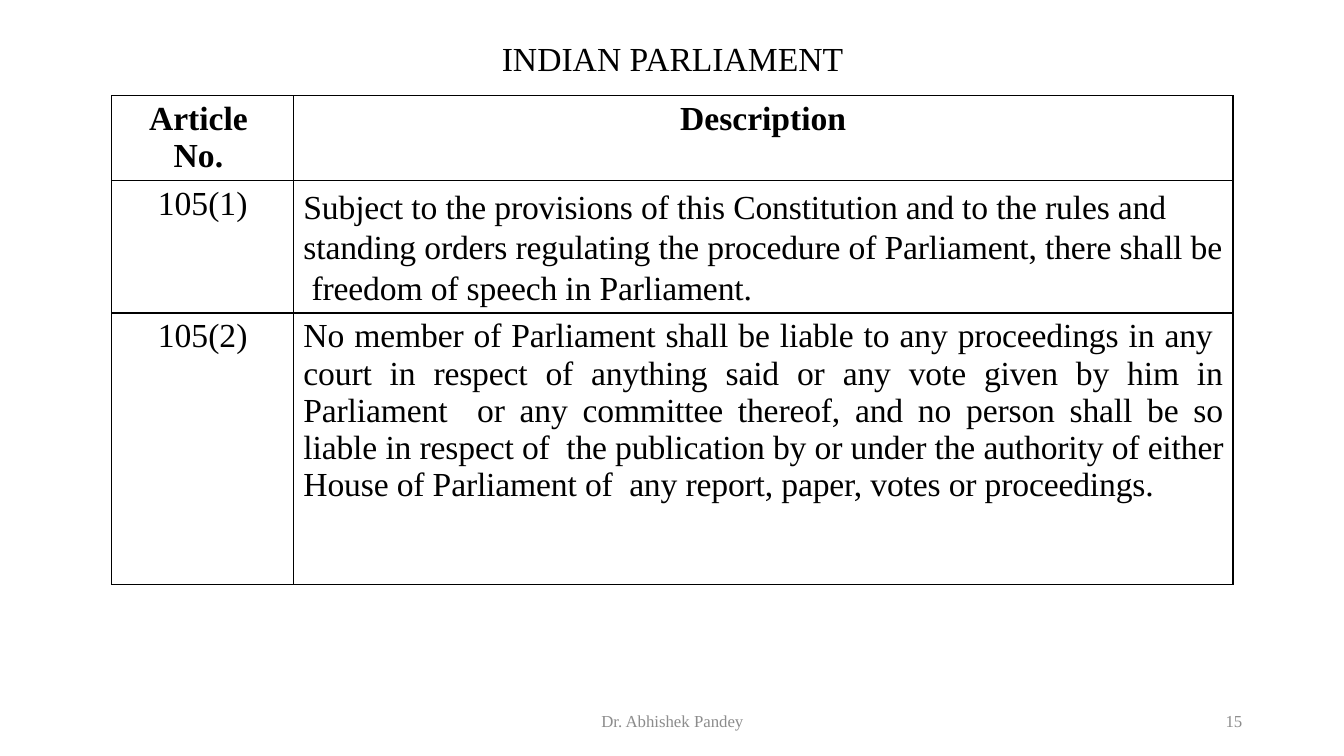
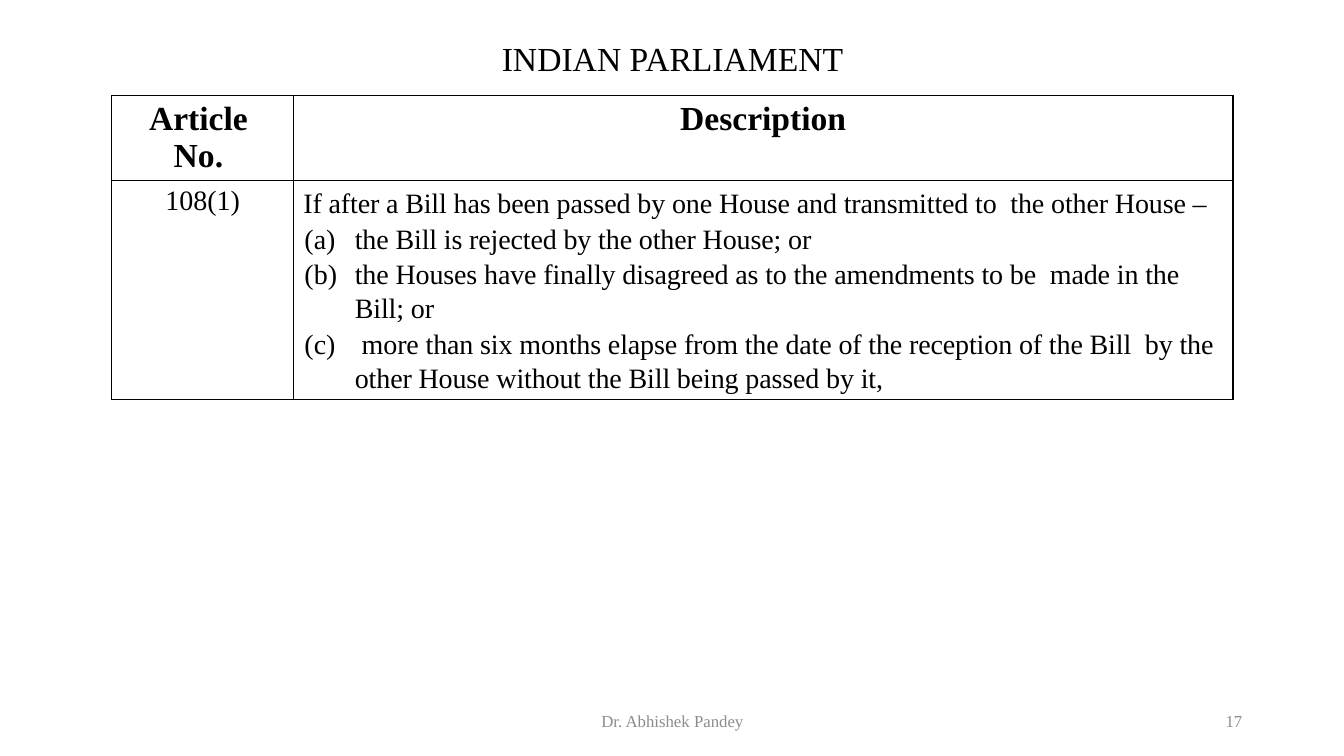
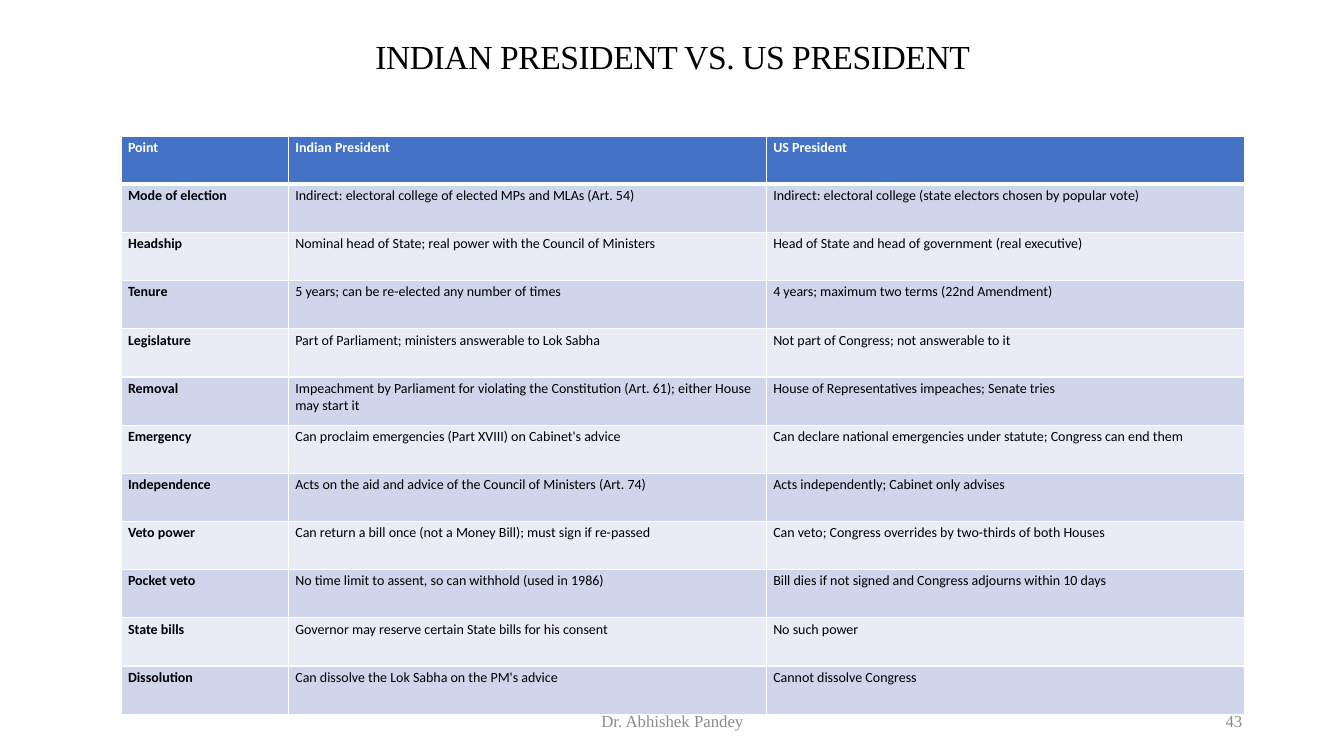
from lxml import etree
from pptx import Presentation
from pptx.dml.color import RGBColor
from pptx.enum import text as t
from pptx.oxml import ns
from pptx.util import Inches, Pt

# Shared look
BLACK = RGBColor(0, 0, 0)
WHITE = RGBColor(255, 255, 255)
GREY = RGBColor(0x8C, 0x8C, 0x8C)
BLUE = RGBColor(0x44, 0x72, 0xC4)
BANDS = [RGBColor(0xE9, 0xEB, 0xF5), RGBColor(0xCF, 0xD5, 0xEA)]
SERIF, SANS = "Times New Roman", "Calibri"
LEFT, MID, RIGHT, JUST = (t.PP_ALIGN.LEFT, t.PP_ALIGN.CENTER,
                          t.PP_ALIGN.RIGHT, t.PP_ALIGN.JUSTIFY)

# Text formats
BASE = {"name": SERIF, "size": Pt(24), "bold": False, "color": BLACK}
HEAD = {**BASE, "bold": True}
BODY = {**BASE, "size": Pt(20)}
FOOT = {**BASE, "size": Pt(12), "color": GREY}
CELL = {**BASE, "name": SANS, "size": Pt(10)}
KEY = {**CELL, "bold": True}
TOP = {**KEY, "color": WHITE}

RIGHTS = [
    ("105(1)", "Subject to the provisions of this Constitution and to the rules "
     "and  standing orders regulating the procedure of Parliament, there shall "
     "be  freedom of speech in Parliament.", {"space": 1.1}),
    ("105(2)", "No member of Parliament shall be liable to any proceedings in "
     "any  court in respect of anything said or any vote given by him in "
     "Parliament  or any committee thereof, and no person shall be so liable in "
     "respect of  the publication by or under the authority of either House of "
     "Parliament of  any report, paper, votes or proceedings.",
     {"align": JUST}),
]
JOINT = [
    "If after a Bill has been passed by one House and transmitted to  the other "
    "House –",
    "the Bill is rejected by the other House; or",
    "the Houses have finally disagreed as to the amendments to be  made in the "
    "Bill; or",
    " more than six months elapse from the date of the reception of the Bill  by "
    "the other House without the Bill being passed by it,",
]
POINTS = [
    ("Point", "Indian President", "US President"),
    ("Mode of election",
     "Indirect: electoral college of elected MPs and MLAs (Art. 54)",
     "Indirect: electoral college (state electors chosen by popular vote)"),
    ("Headship",
     "Nominal head of State; real power with the Council of Ministers",
     "Head of State and head of government (real executive)"),
    ("Tenure", "5 years; can be re-elected any number of times",
     "4 years; maximum two terms (22nd Amendment)"),
    ("Legislature", "Part of Parliament; ministers answerable to Lok Sabha",
     "Not part of Congress; not answerable to it"),
    ("Removal",
     "Impeachment by Parliament for violating the Constitution (Art. 61); "
     "either House may start it",
     "House of Representatives impeaches; Senate tries"),
    ("Emergency", "Can proclaim emergencies (Part XVIII) on Cabinet's advice",
     "Can declare national emergencies under statute; Congress can end them"),
    ("Independence",
     "Acts on the aid and advice of the Council of Ministers (Art. 74)",
     "Acts independently; Cabinet only advises"),
    ("Veto power",
     "Can return a bill once (not a Money Bill); must sign if re-passed",
     "Can veto; Congress overrides by two-thirds of both Houses"),
    ("Pocket veto", "No time limit to assent, so can withhold (used in 1986)",
     "Bill dies if not signed and Congress adjourns within 10 days"),
    ("State bills", "Governor may reserve certain State bills for his consent",
     "No such power"),
    ("Dissolution", "Can dissolve the Lok Sabha on the PM's advice",
     "Cannot dissolve Congress"),
]


# Text helpers
def write(para, words, style, align=LEFT, space=None, track=0):
    para.alignment = align
    if space:
        para.line_spacing = space
    run = para.add_run()
    run.text = words
    for name, value in style.items():
        if name == "color":
            run.font.color.rgb = value
        else:
            setattr(run.font, name, value)
    if track:
        run.font._element.set("spc", str(round(track * 100)))


def letter(para):
    """Number a paragraph (a), (b), (c) with a hanging indent."""
    props = para._p.get_or_add_pPr()
    props.set("marL", str(Inches(0.51)))
    props.set("indent", str(Inches(-0.5)))
    mark = etree.SubElement(props, ns.qn("a:buAutoNum"))
    mark.set("type", "alphaLcParenBoth")
    para.space_before = Pt(1)


def place(shape, box):
    for name, value in zip(("left", "top", "width", "height"), box):
        setattr(shape, name, Inches(value))
    frame = shape.text_frame
    frame.word_wrap = True
    frame.auto_size = t.MSO_AUTO_SIZE.NONE
    frame.vertical_anchor = t.MSO_ANCHOR.MIDDLE
    return frame.paragraphs[0]


# Title and footer of every slide
def page(deck, title, number, top=0.4, track=0):
    slide = deck.slides.add_slide(deck.slide_layouts[5])
    para = place(slide.shapes.title, (0.92, top, 11.5, 0.4))
    write(para, title, BASE, MID, 0.9, track)
    for words, left, width, align in (("Dr. Abhishek Pandey", 4.42, 4.5, MID),
                                      (number, 9.42, 3, RIGHT)):
        note = slide.shapes.add_textbox(0, 0, 0, 0)
        write(place(note, (left, 6.95, width, 0.4)), words, FOOT, align)
    return slide


# Table helpers
def edge(cell, color, base=1):
    props = cell._tc.get_or_add_tcPr()
    for side, width in zip("LRTB", (1, 1, 1, base)):
        line = etree.SubElement(props, ns.qn("a:ln" + side), w=str(Pt(width)))
        fill = etree.SubElement(line, ns.qn("a:solidFill"))
        etree.SubElement(fill, ns.qn("a:srgbClr"), val=str(color))


def grid(slide, left, top, cols, rows):
    table = slide.shapes.add_table(
        len(rows), len(cols), Inches(left), Inches(top),
        Inches(sum(cols)), Inches(sum(rows))).table
    table.first_row = table.horz_banding = False
    for col, width in zip(table.columns, cols):
        col.width = Inches(width)
    for row, height in zip(table.rows, rows):
        row.height = Inches(height)
    return table


def articles(slide, rows):
    """Ruled table of articles under a bold heading row."""
    table = grid(slide, 1.11, 0.95, (1.8, 9.32), (0.84, *rows))
    for cell in table.iter_cells():
        edge(cell, BLACK)
        cell.fill.background()
    for col, words in enumerate(("Article  No. ", "Description")):
        write(table.cell(0, col).text_frame.paragraphs[0], words, HEAD, MID)
    return table


def compare(slide):
    """Banded table of the two offices."""
    table = grid(slide, 1.2, 1.35, (1.66, 4.74, 4.74), [0.478] * len(POINTS))
    for row, words in enumerate(POINTS):
        for col, word in enumerate(words):
            cell = table.cell(row, col)
            edge(cell, WHITE, 1 if row else 3)
            cell.fill.solid()
            cell.fill.fore_color.rgb = BANDS[row % 2] if row else BLUE
            cell.margin_left = cell.margin_right = Inches(0.07)
            cell.margin_top = cell.margin_bottom = Inches(0.03)
            style = TOP if row == 0 else CELL if col else KEY
            write(cell.text_frame.paragraphs[0], word, style)


def main():
    deck = Presentation()
    deck.slide_width, deck.slide_height = Inches(13.33), Inches(7.5)

    # Freedom of speech
    table = articles(page(deck, "INDIAN PARLIAMENT", "15"), (1.3, 2.69))
    for row, (code, words, look) in enumerate(RIGHTS, 1):
        write(table.cell(row, 0).text_frame.paragraphs[0], code, BASE, MID)
        write(table.cell(row, 1).text_frame.paragraphs[0], words, BASE,
              track=-0.1, **look)

    # Joint sitting
    table = articles(page(deck, "INDIAN PARLIAMENT", "17"), (2.17,))
    write(table.cell(1, 0).text_frame.paragraphs[0], "108(1)", BODY, MID)
    frame = table.cell(1, 1).text_frame
    for item, words in enumerate(JOINT):
        para = frame.add_paragraph() if item else frame.paragraphs[0]
        if item:
            letter(para)
        write(para, words, BODY, space=1.1, track=-0.1)

    # Two presidents
    compare(page(deck, "INDIAN PRESIDENT VS. US PRESIDENT", "43", 0.38, -0.3))
    deck.save("out.pptx")


if __name__ == "__main__":
    main()
